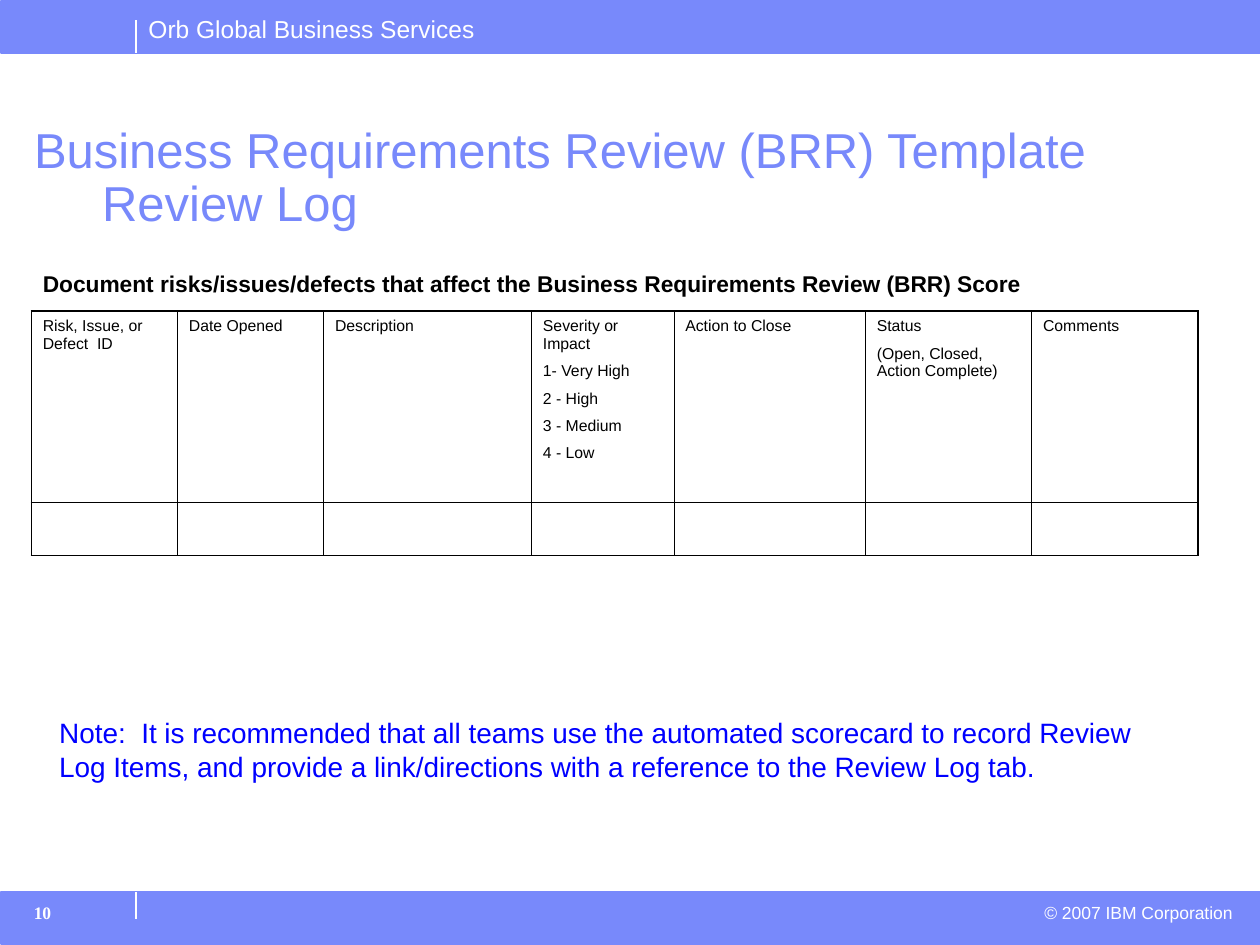
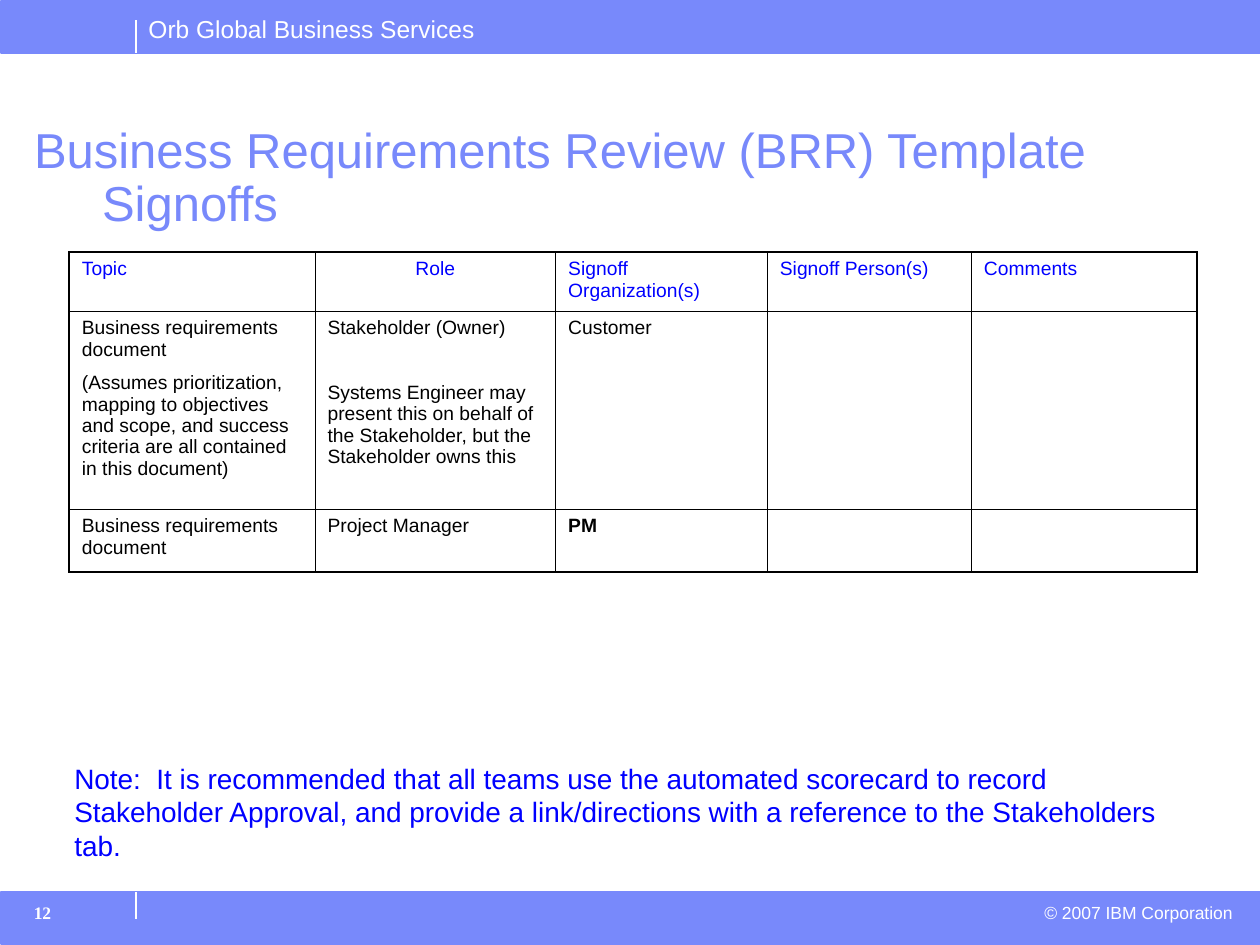
from lxml import etree
from pptx import Presentation
from pptx.dml.color import RGBColor
from pptx.enum import shapes, text
from pptx.oxml import ns
from pptx.util import Inches, Pt

COLORS = {"brand": "7889FB", "white": "FFFFFF", "black": "000000", "note": "0000FF"}
OUTER, INNER = Pt(1.08), Pt(0.45)
LEFT, CENTER, RIGHT = text.PP_ALIGN.LEFT, text.PP_ALIGN.CENTER, text.PP_ALIGN.RIGHT
HEADER = "Orb Global Business Services"
COPYRIGHT = "© 2007 IBM Corporation"
TITLE = "Business Requirements Review (BRR) Template"
NOTE = "Note:  It is recommended that all teams use the automated scorecard to record "

PAGES = [
    {
        "number": "10",
        "subject": "Review Log",
        "caption": "Document risks/issues/defects that affect the "
                   "Business Requirements Review (BRR) Score",
        "note": NOTE + "Review Log Items, and provide a link/directions with a "
                       "reference to the Review Log tab.",
        "note_at": (0.38, 5.64, 9.1, 0.62),
        "table_at": (0.25, 2.47),
        "columns": [1.16, 1.16, 1.65, 1.13, 1.52, 1.32, 1.32],
        "rows": [1.52, 0.42],
        "margin": 0.09,
        "size": 9,
        "gap": 5.5,
        "head_color": "black",
        "cells": [
            ["Risk, Issue, or Defect  ID", "Date Opened", "Description",
             "Severity or Impact\n1- Very High\n2 - High\n3 - Medium\n4 - Low",
             "Action to Close", "Status\n(Open, Closed, Action Complete)", "Comments"],
            [""] * 7,
        ],
        "special": {},
    },
    {
        "number": "12",
        "subject": "Signoffs",
        "caption": "",
        "note": NOTE + "Stakeholder Approval, and provide a link/directions with a "
                       "reference to the Stakeholders tab.",
        "note_at": (0.5, 6, 9.1, 0.89),
        "table_at": (0.55, 2),
        "columns": [1.95, 1.91, 1.68, 1.62, 1.79],
        "rows": [0.47, 1.57, 0.5],
        "margin": 0.1,
        "size": 11,
        "gap": 6.8,
        "head_color": "note",
        "cells": [
            ["Topic", "Role", "Signoff Organization(s)", "Signoff Person(s)", "Comments"],
            ["Business requirements document\n(Assumes prioritization, mapping to "
             "objectives and scope, and success criteria are all contained in this document)",
             "Stakeholder (Owner)\nSystems Engineer may present this on behalf of the "
             "Stakeholder, but the Stakeholder owns this",
             "Customer", "", ""],
            ["Business requirements document", "Project Manager", "PM", "", ""],
        ],
        "special": {(0, 1): {"align": CENTER}, (1, 1): {"gap": 24.6}, (2, 2): {"bold": True}},
    },
]


def write(frame, content, size, color="black", font="Arial", bold=False, align=LEFT, gap=0):
    """Fill a text frame, one paragraph a line, with a gap in points between them."""
    frame.text = content
    for index, para in enumerate(frame.paragraphs):
        para.alignment = align
        para.space_before = Pt(gap if index else 0)
        for span in para.runs:
            for name, value in {"size": Pt(size), "name": font, "bold": bold}.items():
                setattr(span.font, name, value)
            span.font.color.rgb = RGBColor.from_string(COLORS[color])


def add_label(page, place, content, size, margins=(0.1, 0.05), wrap=True, **style):
    """Add a text box; margins are the side and the top/bottom inset in inches."""
    box = page.shapes.add_textbox(*map(Inches, place))
    side, edge = map(Inches, margins)
    settings = {"margin_left": side, "margin_right": side, "margin_top": edge,
                "margin_bottom": edge, "word_wrap": wrap}
    for name, value in settings.items():
        setattr(box.text_frame, name, value)
    write(box.text_frame, content, size, **style)


deck = Presentation()
deck.slide_width, deck.slide_height = Inches(10), Inches(7.5)

for data in PAGES:
    page = deck.slides.add_slide(deck.slide_layouts[5])

    # Bands with their divider lines
    for band_top, line_top, line_bottom in [(0.01, 0.16, 0.42), (7.08, 7.08, 7.29)]:
        band = page.shapes.add_shape(shapes.MSO_SHAPE.RECTANGLE, Inches(0.01),
                                     Inches(band_top), Inches(9.99), Inches(0.41))
        band.shadow.inherit = False
        band.fill.solid()
        for paint in (band.fill.fore_color, band.line.color):
            paint.rgb = RGBColor.from_string(COLORS["brand"])
        band.line.width = Pt(1)
        divider = page.shapes.add_connector(shapes.MSO_CONNECTOR.STRAIGHT, Inches(1.08),
                                            Inches(line_top), Inches(1.08), Inches(line_bottom))
        divider.line.color.rgb = RGBColor.from_string(COLORS["white"])
        divider.line.width = Pt(1)
        etree.SubElement(divider._element.spPr, ns.qn("a:effectLst"))

    add_label(page, (1.08, 0.06, 2.81, 0.33), HEADER, 14, wrap=False, color="white")
    add_label(page, (6.26, 7.11, 3.62, 0.27), COPYRIGHT, 10, color="white", align=RIGHT)
    add_label(page, (0.17, 7.11, 1.1, 0.35), data["number"], 10, color="white",
              font="Times New Roman", bold=True)

    # Title with a hanging second line
    title = page.shapes.title
    title.left, title.top, title.width, title.height = map(Inches, (0.17, 0.95, 9.02, 1.38))
    title_format = {"vertical_anchor": text.MSO_ANCHOR.TOP, "word_wrap": True,
                    "auto_size": text.MSO_AUTO_SIZE.NONE}
    for name, value in title_format.items():
        setattr(title.text_frame, name, value)
    write(title.text_frame, f"{TITLE}\v{data['subject']}", 28, color="brand")
    para = title.text_frame.paragraphs[0]
    para.line_spacing = 0.9
    indent = Inches(0.54)
    para._p.get_or_add_pPr().set("marL", str(indent))
    para._p.get_or_add_pPr().set("indent", str(-indent))

    if data["caption"]:
        add_label(page, (0.25, 2.1, 9.33, 0.57), data["caption"], 13, (0.09, 0.04), bold=True)
    add_label(page, data["note_at"], data["note"], 16, (0.09, 0.04), color="note")

    # Table with a heavier outline
    row_count, column_count = len(data["rows"]), len(data["columns"])
    size = sum(data["columns"]), sum(data["rows"])
    table = page.shapes.add_table(row_count, column_count,
                                  *map(Inches, data["table_at"] + size)).table
    table.first_row = table.horz_banding = False
    for column, width in zip(table.columns, data["columns"]):
        column.width = Inches(width)
    for row, height in zip(table.rows, data["rows"]):
        row.height = Inches(height)

    for r, line in enumerate(data["cells"]):
        for c, content in enumerate(line):
            cell = table.cell(r, c)
            cell.margin_left = cell.margin_right = Inches(data["margin"])
            style = {"color": "black" if r else data["head_color"], "gap": data["gap"]}
            style.update(data["special"].get((r, c), {}))
            write(cell.text_frame, content, data["size"], **style)
            outline = {"L": c == 0, "R": c == column_count - 1,
                       "T": r == 0, "B": r == row_count - 1}
            for side, is_outer in outline.items():
                border = etree.SubElement(cell._tc.get_or_add_tcPr(), ns.qn(f"a:ln{side}"),
                                          w=str(OUTER if is_outer else INNER))
                fill = etree.SubElement(border, ns.qn("a:solidFill"))
                etree.SubElement(fill, ns.qn("a:srgbClr"), val=COLORS["black"])
            cell.fill.background()

deck.save("out.pptx")
